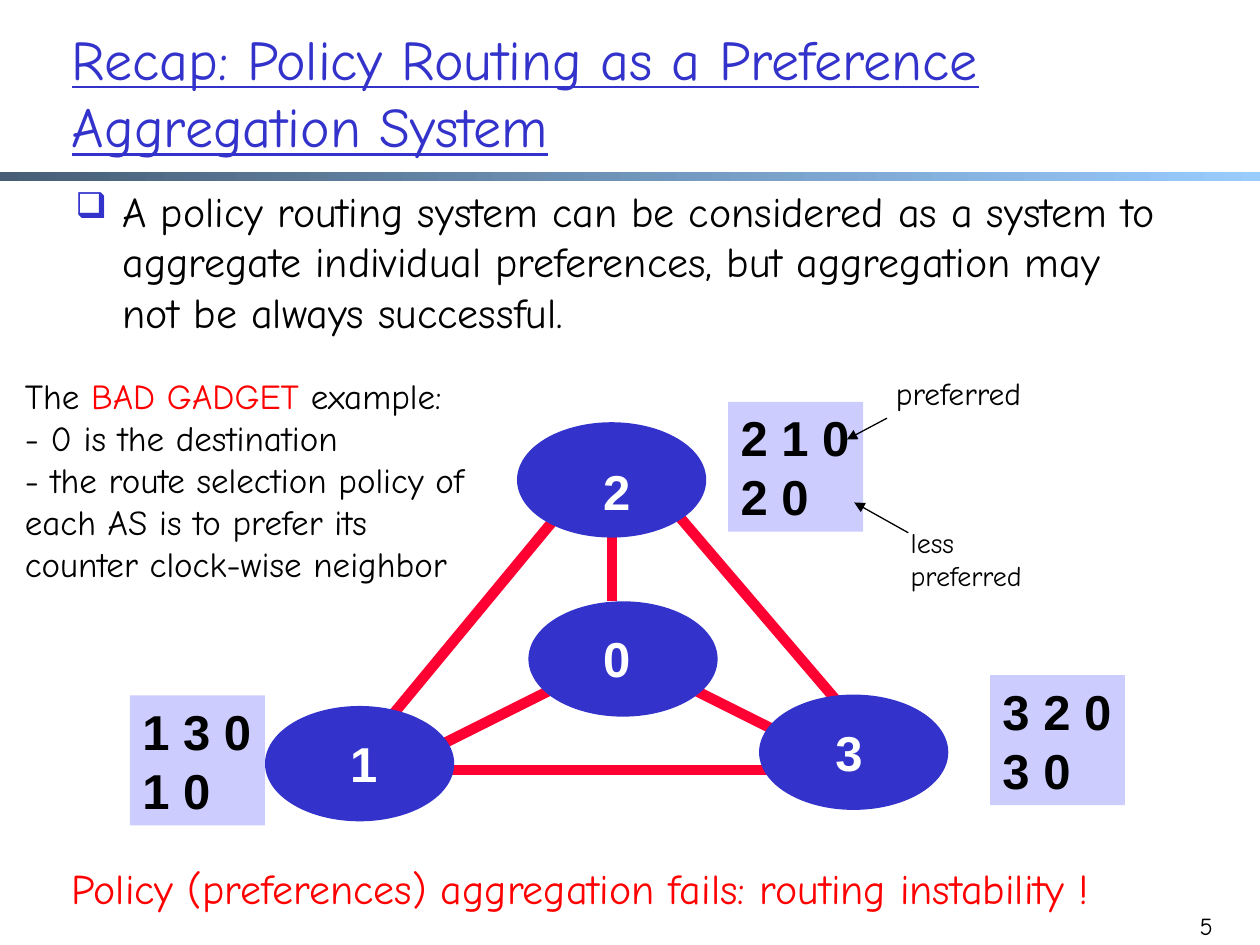
from dataclasses import dataclass

from lxml.etree import SubElement
from pptx import Presentation
from pptx.dml.color import RGBColor
from pptx.enum.shapes import MSO_CONNECTOR, MSO_SHAPE
from pptx.enum.text import MSO_ANCHOR, MSO_AUTO_SIZE, PP_ALIGN
from pptx.oxml.ns import qn
from pptx.util import Cm, Pt


@dataclass(frozen=True)
class Theme:
    """Colours, fonts and type sizes of the slide."""
    blue: str = "3333CC"
    lilac: str = "CCCCFF"
    link: str = "FF0033"
    red: str = "FF0000"
    black: str = "000000"
    white: str = "FFFFFF"
    bar_from: str = "475E76"
    bar_to: str = "99CCFF"
    hand: str = "Comic Neue"
    sans: str = "Arial"
    title: int = 32
    node: int = 28
    body: int = 24
    note: int = 20
    preferred: int = 18
    less: int = 16
    number: int = 14


T = Theme()
HAND = {"name": T.hand}
NODE = {"name": T.sans, "size": Pt(T.node), "bold": True}
FIT = {"word_wrap": False, "auto_size": MSO_AUTO_SIZE.SHAPE_TO_FIT_TEXT}
WRAP = {"word_wrap": True}


def rgb(value):
    """Return a colour from its hex value."""
    return RGBColor.from_string(value)


def apply(obj, fmt):
    """Set each attribute named in a dict of format values."""
    for name, value in fmt.items():
        setattr(obj, name, value)


def write(sp, lines, font, color, frame, para=None):
    """Fill a shape with lines, each a string or a list of (text, colour) runs."""
    tf = sp.text_frame
    apply(tf, frame)
    for i, line in enumerate(lines):
        p = tf.add_paragraph() if i else tf.paragraphs[0]
        apply(p, {"alignment": PP_ALIGN.LEFT, **(para or {})})
        for text, run_color in [(line, color)] if isinstance(line, str) else line:
            r = p.add_run()
            r.text = text
            apply(r.font, font)
            r.font.color.rgb = rgb(run_color)
    return tf


def add_text(s, box, lines, font, color, frame=FIT, para=None):
    """Add a text box at a box given in centimetres."""
    sp = s.shapes.add_textbox(*map(Cm, box))
    return write(sp, lines, font, color, frame, para)


def add_block(s, kind, box, color):
    """Add a plain filled shape without outline or shadow."""
    sp = s.shapes.add_shape(kind, *map(Cm, box))
    sp.shadow.inherit = False
    sp.fill.solid()
    sp.fill.fore_color.rgb = rgb(color)
    sp.line.fill.background()
    return sp


def add_line(s, x, y, ends, color, width, arrow=False):
    """Add a straight line between two points relative to (x, y)."""
    x1, y1, x2, y2 = ends
    sp = s.shapes.add_connector(MSO_CONNECTOR.STRAIGHT, Cm(x + x1), Cm(y + y1), Cm(x + x2), Cm(y + y2))
    sp.line.color.rgb = rgb(color)
    sp.line.width = Pt(width)
    if arrow:
        SubElement(sp.line._get_or_add_ln(), qn("a:tailEnd"), type="triangle")
    SubElement(sp._element.spPr, qn("a:effectLst"))


def add_header(s, x, y, w, h):
    """Place the title and the gradient bar under it."""
    sp = add_block(s, MSO_SHAPE.RECTANGLE, (x, y + h - 0.2, w, 0.2), T.bar_from)
    sp.fill.gradient()
    sp.fill.gradient_angle = 0
    for stop, color in zip(sp.fill.gradient_stops, (T.bar_from, T.bar_to)):
        stop.color.rgb = rgb(color)
    add_text(s, (x + 1.2, y + 0.71, w - 2.5, 2.26),
             ["Recap: Policy Routing as a Preference Aggregation System"],
             {**HAND, "size": Pt(T.title), "underline": True}, T.blue,
             {**WRAP, "vertical_anchor": MSO_ANCHOR.MIDDLE})


def add_body(s, x, y, w, h):
    """Place the bulleted statement."""
    tf = add_text(s, (x, y, w, h),
                  ["A policy routing system can be considered as a system to aggregate individual "
                   "preferences, but aggregation may not be always successful."],
                  {**HAND, "size": Pt(T.body)}, T.black, WRAP)
    pPr = tf.paragraphs[0]._p.get_or_add_pPr()
    apply_indent = {"marL": Cm(0.95), "indent": -Cm(0.95)}
    for name, value in apply_indent.items():
        pPr.set(name, str(int(value)))
    SubElement(SubElement(pPr, qn("a:buClr")), qn("a:srgbClr"), val=T.blue)
    SubElement(pPr, qn("a:buSzPct"), val="85000")
    SubElement(pPr, qn("a:buChar"), char="❑")


def add_diagram(s, x, y):
    """Place the links, the numbered nodes and their route rankings."""
    links = [(15.26, 7.19, 10.38, 1.48), (9.31, 1.48, 4.23, 7.62), (9.74, 0.84, 9.74, 4.02),
             (9.54, 5.29, 6.14, 6.99), (13.76, 6.99, 11.22, 5.72), (15.66, 7.42, 4.23, 7.42)]
    for ends in links:
        add_line(s, x, y, ends, T.link, 6)

    nodes = [("2", 7.84, 0.43, 1.47, 0.64), ("0", 8.07, 4.04, 1.24, 0.41),
             ("3", 12.72, 5.92, 1.27, 0.43), ("1", 2.76, 6.15, 1.45, 0.41)]
    for label, left, top, dx, dy in nodes:
        sp = add_block(s, MSO_SHAPE.OVAL, (x + left, y + top, 3.78, 2.29), T.blue)
        sp.line.color.rgb = rgb(T.blue)
        sp.line.width = Pt(1)
        add_text(s, (x + left + dx, y + top + dy, 1.07, 1.45), [label], NODE, T.white)

    rankings = [(12.08, 0, ["2 1 0", "2 0"]), (0.02, 5.92, ["1 3 0", "1 0"]),
                (17.36, 5.51, ["3 2 0", "3 0"])]
    for left, top, routes in rankings:
        sp = add_block(s, MSO_SHAPE.RECTANGLE, (x + left, y + top, 2.72, 2.62), T.lilac)
        write(sp, routes, NODE, T.black, {**FIT, "vertical_anchor": MSO_ANCHOR.TOP})


def add_callouts(s, x, y):
    """Place the labels that point at the ranked routes of node 2."""
    callouts = [(["preferred"], T.preferred, (0.81, 0, 3.5, 1.02), (0.88, 1.01, 0.07, 1.44)),
                (["less", "preferred"], T.less, (1.11, 3.04, 3.18, 1.63), (1.31, 3.32, 0.22, 2.71))]
    for lines, size, (left, top, w, h), ends in callouts:
        add_text(s, (x + left, y + top, w, h), lines, {**HAND, "size": Pt(size)}, T.black)
        add_line(s, x, y, ends, T.black, 0.75, arrow=True)


def add_example(s, x, y, w, h):
    """Place the description of the example."""
    add_text(s, (x, y, w, h),
             [[("The ", T.black), ("BAD GADGET", T.red), (" example:", T.black)],
              "- 0 is the destination",
              "- the route selection policy of each AS is to prefer its counter clock-wise neighbor"],
             {**HAND, "size": Pt(T.note)}, T.black, {**FIT, **WRAP})


def add_footer(s, x, y, w):
    """Place the conclusion and the slide number."""
    add_text(s, (x, y, w, 1.27), ["Policy (preferences) aggregation fails: routing instability !"],
             {**HAND, "size": Pt(T.body)}, T.red)
    add_text(s, (x + w - 1.25, y + 0.97, 1.2, 0.81), ["5"], {**HAND, "size": Pt(T.number)},
             T.black, WRAP, {"alignment": PP_ALIGN.RIGHT})


def main():
    """Build the slide and save it."""
    prs = Presentation()
    apply(prs, {"slide_width": Cm(25.4), "slide_height": Cm(19.05)})
    s = prs.slides.add_slide(prs.slide_layouts[6])
    add_header(s, 0, 0, 25.4, 3.66)
    add_diagram(s, 2.6, 8.1)
    add_callouts(s, 17, 7.42)
    add_example(s, 0.25, 7.42, 9.8, 4.5)
    add_footer(s, 1.2, 17.27, 23.55)
    add_body(s, 1.27, 3.61, 22.38, 3.4)
    prs.save("out.pptx")


if __name__ == "__main__":
    main()
